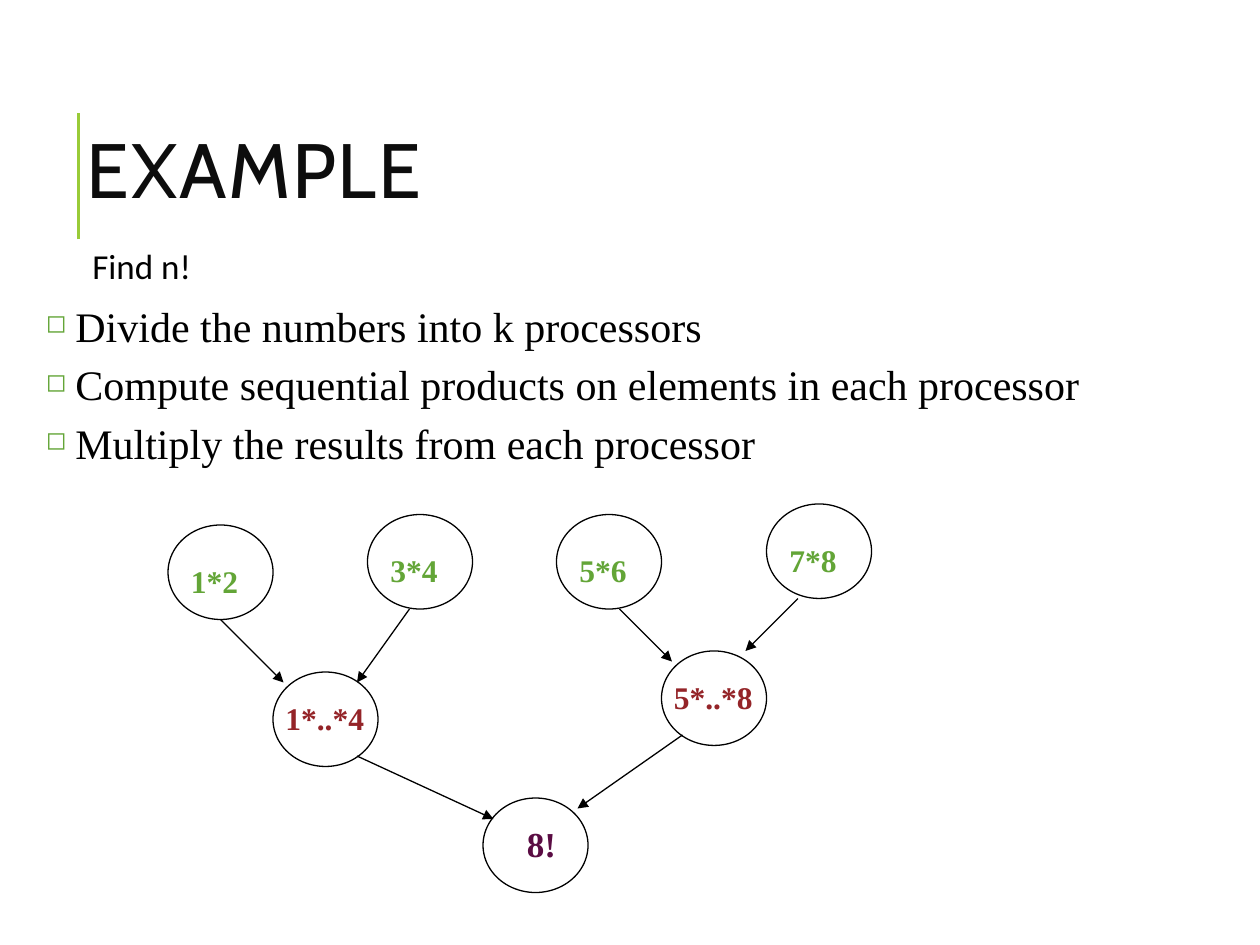
import pptx
import pptx.dml.color
import pptx.enum.shapes
import pptx.enum.text
import pptx.oxml
import pptx.oxml.ns
import pptx.util

PX = pptx.util.Inches(1) // 120
SERIF = "Times New Roman"
COLOURS = {
    "ink": "000000",
    "title": "0D0D0D",
    "bar": "99CB38",
    "green": "63A537",
    "red": "942428",
    "plum": "5A0C43",
}
NODE_WIDTH, NODE_HEIGHT = 100, 90
LEAF_LABEL = (10, 29, 70, 48)
PAIR_LABEL = (0, 20, 100, 48)
STEPS = [
    "Divide the numbers into k processors",
    "Compute sequential products on elements in each processor",
    "Multiply the results from each processor",
]
NODES = [
    ("1*2", (0, 20), LEAF_LABEL, 18, "green"),
    ("3*4", (190, 10), LEAF_LABEL, 18, "green"),
    ("5*6", (370, 10), LEAF_LABEL, 18, "green"),
    ("7*8", (570, 0), LEAF_LABEL, 18, "green"),
    ("1*..*4", (100, 160), PAIR_LABEL, 18, "red"),
    ("5*..*8", (470, 140), PAIR_LABEL, 18, "red"),
    ("8!", (300, 280), (30, 17, 52, 52), 20, "plum"),
]
ARROWS = [
    (50, 110, 110, 170),
    (230, 100, 180, 170),
    (430, 100, 480, 150),
    (600, 90, 550, 140),
    (180, 240, 310, 300),
    (490, 220, 390, 290),
]


def colour(name):
    """Return the named colour."""
    return pptx.dml.color.RGBColor.from_string(COLOURS[name])


def add_xml(parent, markup):
    """Append DrawingML elements to the parent."""
    space = pptx.oxml.ns.nsdecls("a")
    parent.extend(list(pptx.oxml.parse_xml(f"<a:parts {space}>{markup}</a:parts>")))


def add_text(page, box, text, size, font, shade, bold=False, wrap=True):
    """Add a text box with one format and return its text frame."""
    frame = page.shapes.add_textbox(*(value * PX for value in box)).text_frame
    frame.text = text
    frame.word_wrap = wrap
    if not wrap:
        frame.auto_size = pptx.enum.text.MSO_AUTO_SIZE.SHAPE_TO_FIT_TEXT
    for para in frame.paragraphs:
        for span in para.runs:
            span.font.size = pptx.util.Pt(size)
            span.font.name = font
            span.font.bold = bold
            span.font.color.rgb = colour(shade)
    return frame


def add_line(page, ends, shade, width, arrow=False):
    """Add a straight line, with an arrowhead at its end if wanted."""
    line = page.shapes.add_connector(
        pptx.enum.shapes.MSO_CONNECTOR.STRAIGHT, *(value * PX for value in ends))
    line.line.color.rgb = colour(shade)
    line.line.width = pptx.util.Pt(width)
    properties = line._element.spPr
    if arrow:
        add_xml(properties.find(pptx.oxml.ns.qn("a:ln")), '<a:tailEnd type="triangle"/>')
    add_xml(properties, "<a:effectLst/>")


def add_heading(page, left, top):
    """Add the title with the upright bar beside it."""
    add_line(page, (left + 4, top + 135, left + 4, top + 15), "bar", 1.5)
    frame = add_text(page, (left, top, 950, 150), "EXAMPLE", 44, "Cabin", "title")
    frame.vertical_anchor = pptx.enum.text.MSO_ANCHOR.MIDDLE
    para = frame.paragraphs[0]
    para.line_spacing = 0.8
    para.runs[0]._r.get_or_add_rPr().set("spc", "100")


def add_task(page, box):
    """Add the line that states the task."""
    frame = add_text(page, box, "Find n!", 20, "Calibri", "ink")
    frame.margin_left = 18 * PX
    frame.margin_right = frame.margin_top = frame.margin_bottom = 6 * PX
    para = frame.paragraphs[0]
    para.line_spacing = 0.9
    para.space_before = pptx.util.Pt(12)
    para.space_after = pptx.util.Pt(2)


def add_steps(page, box):
    """Add the bulleted steps."""
    frame = add_text(page, box, "\n".join(STEPS), 24, SERIF, "ink", wrap=False)
    for para in frame.paragraphs:
        para.level = 1
        properties = para._p.get_or_add_pPr()
        properties.set("marL", str(60 * PX))
        properties.set("indent", str(-28 * PX))
        add_xml(properties, (
            '<a:spcBef><a:spcPct val="20000"/></a:spcBef>'
            f'<a:buClr><a:srgbClr val="{COLOURS["green"]}"/></a:buClr>'
            '<a:buSzPct val="60000"/>'
            '<a:buChar char="◻"/>'))


def add_tree(page, left, top):
    """Add the tree of partial products."""
    for label, (x, y), (dx, dy, width, height), size, shade in NODES:
        x, y = left + x, top + y
        node = page.shapes.add_shape(
            pptx.enum.shapes.MSO_SHAPE.OVAL,
            x * PX, y * PX, NODE_WIDTH * PX, NODE_HEIGHT * PX)
        node.shadow.inherit = False
        node.fill.background()
        node.line.color.rgb = colour("ink")
        node.line.width = pptx.util.Pt(0.75)
        add_text(page, (x + dx, y + dy, width, height), label, size, SERIF,
                 shade, bold=True, wrap=False)
    for x1, y1, x2, y2 in ARROWS:
        add_line(page, (left + x1, top + y1, left + x2, top + y2), "ink", 0.75, True)


def main():
    """Build the slide and save it."""
    deck = pptx.Presentation()
    deck.slide_width, deck.slide_height = 1200 * PX, 900 * PX
    page = deck.slides.add_slide(deck.slide_layouts[6])
    add_heading(page, 71, 93)
    add_task(page, (70, 231, 1080, 100))
    add_steps(page, (0, 280, 1069, 223))
    add_tree(page, 160, 480)
    deck.save("out.pptx")


if __name__ == "__main__":
    main()
